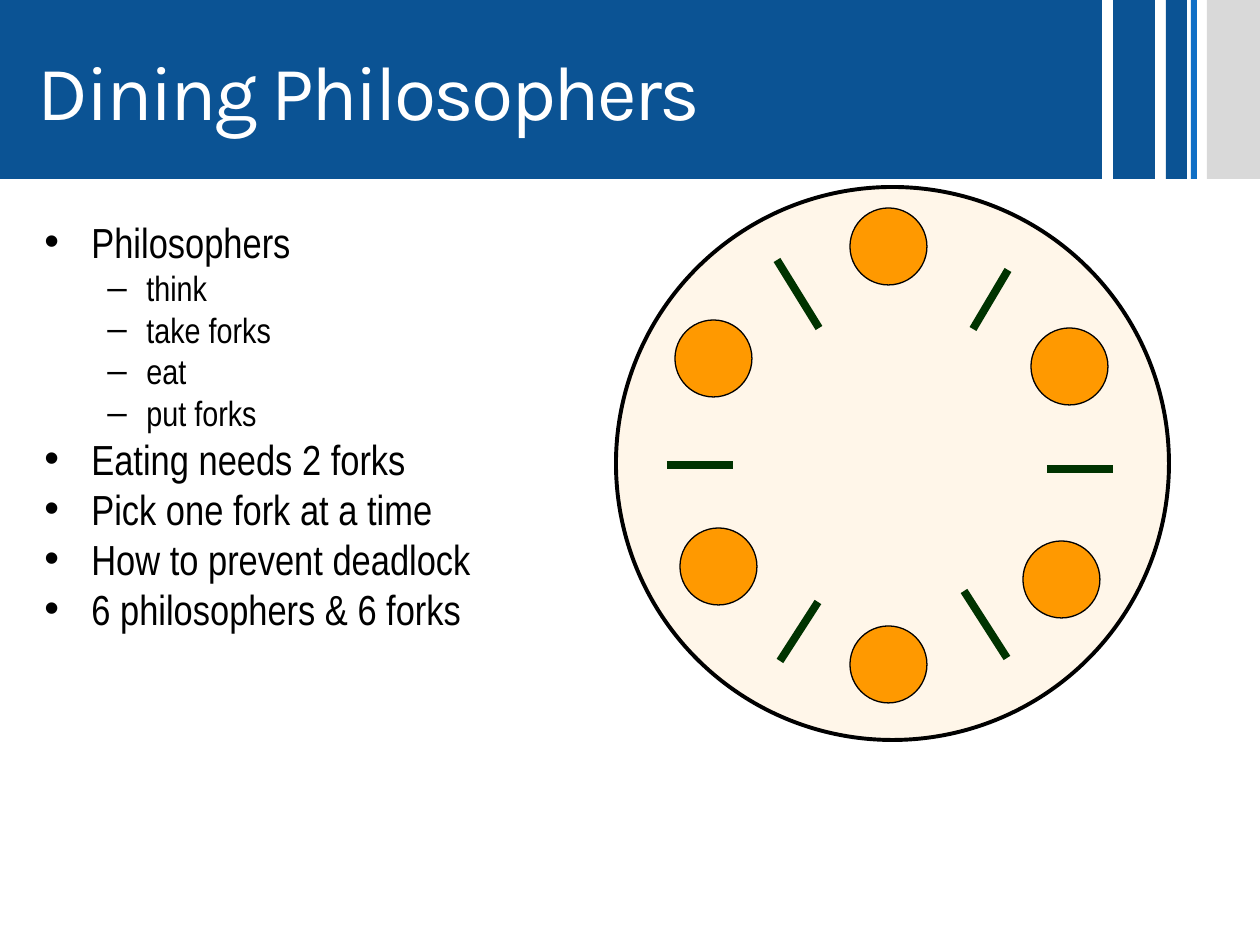
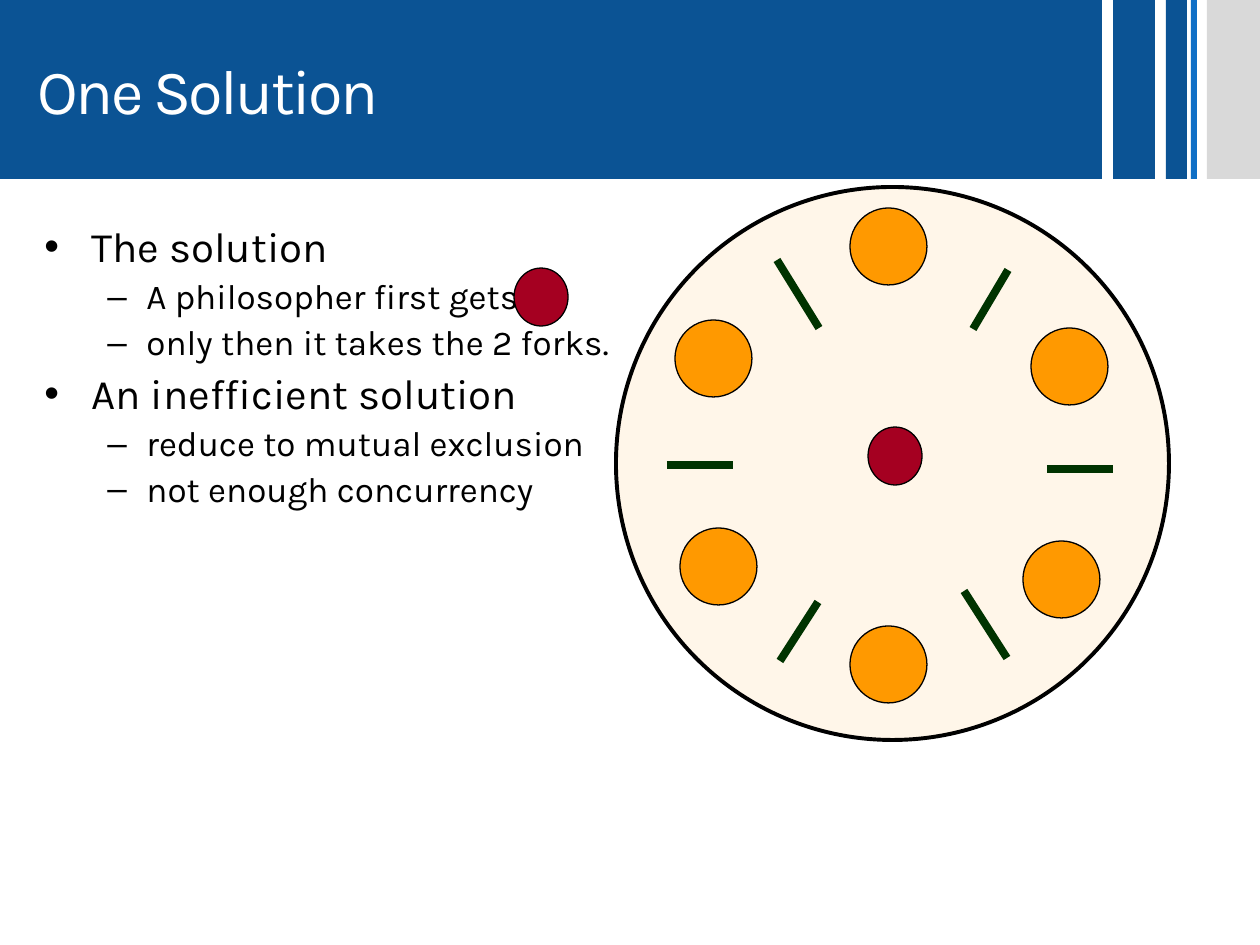
from lxml.etree import SubElement
from pptx import Presentation
from pptx.dml.color import RGBColor
from pptx.enum.shapes import MSO_CONNECTOR, MSO_SHAPE
from pptx.enum.text import MSO_ANCHOR, PP_ALIGN
from pptx.oxml.ns import qn
from pptx.util import Pt

PX = 914400 / 126
BLUE, BRIGHT_BLUE, GREY = "0B5394", "0F6FC6", "D9D9D9"
CREAM, ORANGE, RED, GREEN = "FFF6E9", "FF9900", "A50021", "003300"
BLACK, WHITE = "000000", "FFFFFF"

BAND_HEIGHT = 179
BANDS = [(1113, 42, BLUE), (1166, 21, BLUE), (1191, 6, BRIGHT_BLUE), (1207, 53, GREY)]
TITLE_INSETS = {"margin_left": 38, "margin_top": 6, "margin_right": 13, "margin_bottom": 6}

# bullet, font size, left margin, hanging indent
LEVELS = [("•", 24, 47, 47), ("–", 20, 102, 39)]

PHILOSOPHER_SIZE = 77
PHILOSOPHERS = [(850, 626), (850, 208), (1023, 541), (1031, 328), (675, 320), (680, 528)]
FORKS = [(777, 260, 819, 328), (964, 591, 1007, 658), (1047, 469, 1113, 469),
         (1008, 270, 973, 329), (667, 465, 733, 465), (818, 602, 780, 661)]


def px(n):
    return round(n * PX)


def rgb(color):
    return RGBColor.from_string(color)


def set_attrs(obj, values):
    for name, value in values.items():
        setattr(obj, name, value)


def add_run(p, text, font, size, color):
    r = p.add_run()
    r.text = text
    set_attrs(r.font, {"name": font, "size": Pt(size)})
    r.font.color.rgb = rgb(color)
    return r


def add_filled(s, kind, box, fill, line_width=0):
    sp = s.shapes.add_shape(kind, *map(px, box))
    sp.shadow.inherit = False
    sp.fill.solid()
    sp.fill.fore_color.rgb = rgb(fill)
    if line_width:
        sp.line.color.rgb = rgb(BLACK)
        sp.line.width = Pt(line_width)
    else:
        sp.line.fill.background()
    return sp


def add_header(s, title, size):
    for left, width, color in BANDS:
        add_filled(s, MSO_SHAPE.RECTANGLE, (left, 0, width, BAND_HEIGHT), color)
    sp = add_filled(s, MSO_SHAPE.RECTANGLE, (0, 0, 1102, BAND_HEIGHT), BLUE)
    tf = sp.text_frame
    set_attrs(tf, {name: px(inset) for name, inset in TITLE_INSETS.items()})
    set_attrs(tf, {"word_wrap": True, "vertical_anchor": MSO_ANCHOR.MIDDLE})
    p = tf.paragraphs[0]
    p.alignment = PP_ALIGN.LEFT
    r = add_run(p, title, "Karla", size, WHITE)
    r.font._element.set("spc", "-150")


def add_bullets(s, items, font, line_spacing):
    """Items are (level, text) pairs."""
    tf = s.shapes.add_textbox(px(32), px(220), px(1166), px(624)).text_frame
    tf.word_wrap = True
    for i, (level, text) in enumerate(items):
        bullet, size, margin, hanging = LEVELS[level]
        p = tf.add_paragraph() if i else tf.paragraphs[0]
        pPr = p._p.get_or_add_pPr()
        pPr.set("marL", str(px(margin)))
        pPr.set("indent", str(-px(hanging)))
        SubElement(pPr, qn("a:buFont"), typeface="Arial")
        SubElement(pPr, qn("a:buChar"), char=bullet)
        set_attrs(p, {"level": level, "line_spacing": line_spacing,
                      "space_before": Pt(size * 0.23 if i else 0)})
        add_run(p, text, font, size, BLACK)


def add_fork(s, ends):
    line = s.shapes.add_connector(MSO_CONNECTOR.STRAIGHT, *map(px, ends))
    line.line.color.rgb = rgb(GREEN)
    line.line.width = Pt(4.5)
    SubElement(line._element.spPr, qn("a:effectLst"))


def add_dining_table(s):
    add_filled(s, MSO_SHAPE.OVAL, (616, 187, 553, 553), CREAM, 2.25)
    for left, top in PHILOSOPHERS:
        box = (left, top, PHILOSOPHER_SIZE, PHILOSOPHER_SIZE)
        add_filled(s, MSO_SHAPE.OVAL, box, ORANGE, 0.75)
    for ends in FORKS:
        add_fork(s, ends)


def add_token(s, left, top):
    add_filled(s, MSO_SHAPE.OVAL, (left, top, 54, 58), RED, 0.75)


def add_problem_slide(prs):
    s = prs.slides.add_slide(prs.slide_layouts[6])
    add_header(s, "Dining Philosophers", 44)
    add_bullets(s, [
        (0, "Philosophers"),
        (1, "think"),
        (1, "take forks"),
        (1, "eat"),
        (1, "put forks"),
        (0, "Eating needs 2 forks"),
        (0, "Pick one fork at a time"),
        (0, "How to prevent deadlock"),
        (0, "6 philosophers & 6 forks"),
    ], "Arial Narrow", 0.8)
    add_dining_table(s)


def add_solution_slide(prs):
    s = prs.slides.add_slide(prs.slide_layouts[6])
    add_header(s, "One Solution", 36)
    add_bullets(s, [
        (0, "The solution"),
        (1, "A philosopher first gets"),
        (1, "only then it takes the 2 forks."),
        (0, "An inefficient solution"),
        (1, "reduce to mutual exclusion"),
        (1, "not enough concurrency"),
    ], "Karla", 0.9)
    add_dining_table(s)
    add_token(s, 514, 268)
    add_token(s, 868, 427)


def main():
    prs = Presentation()
    set_attrs(prs, {"slide_width": px(1260), "slide_height": px(945)})
    add_problem_slide(prs)
    add_solution_slide(prs)
    prs.save("out.pptx")


if __name__ == "__main__":
    main()
